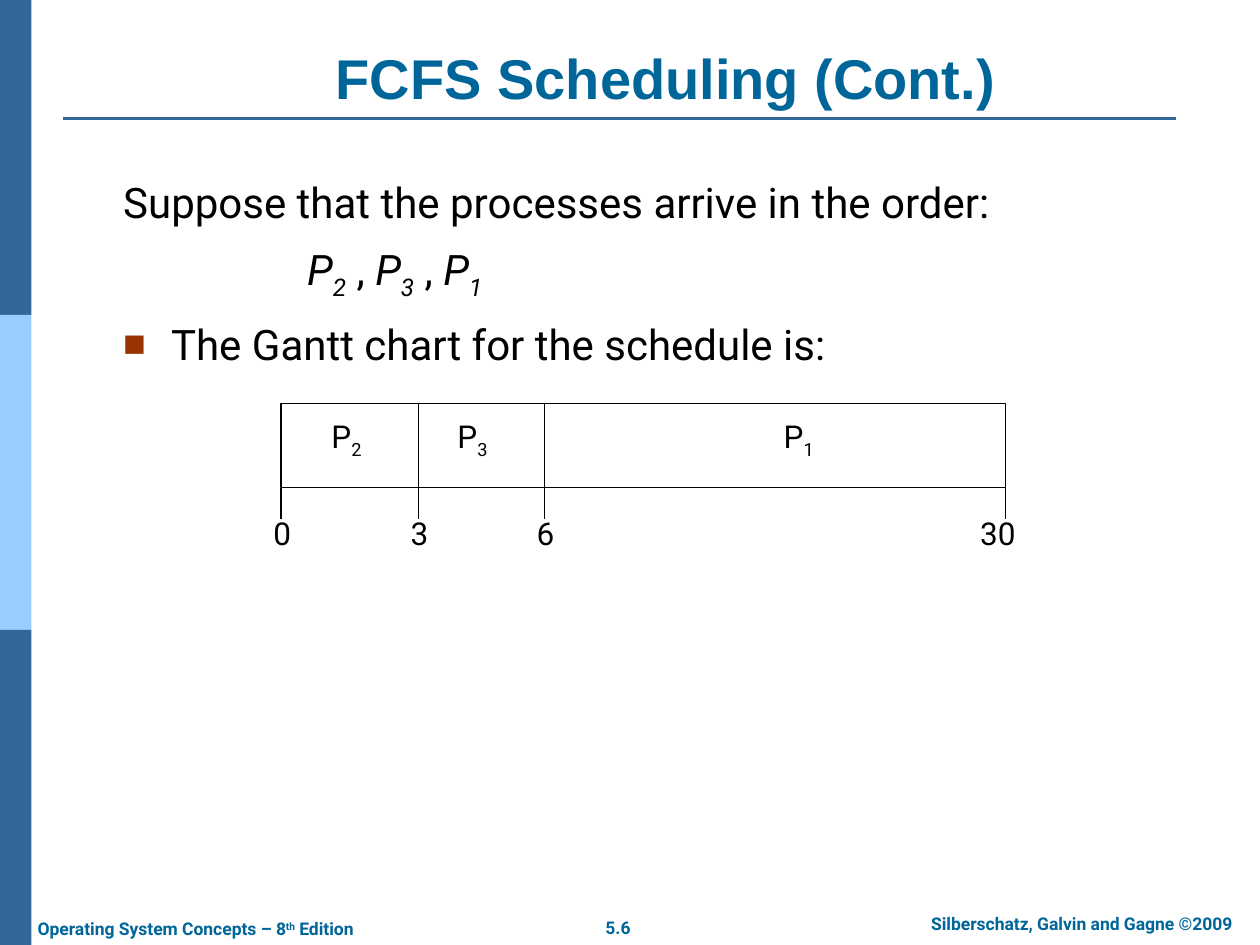
import dataclasses

import pptx
import pptx.dml.color
import pptx.enum.shapes
import pptx.enum.text
import pptx.oxml.xmlchemy
import pptx.util

Inches = pptx.util.Inches
Pt = pptx.util.Pt
Align = pptx.enum.text.PP_ALIGN
Anchor = pptx.enum.text.MSO_ANCHOR
Fit = pptx.enum.text.MSO_AUTO_SIZE


@dataclasses.dataclass(frozen=True)
class Theme:
    title_font: str = "Arial"
    body_font: str = "Roboto"
    heading: str = "006699"
    band: str = "336699"
    band_light: str = "99CCFF"
    bullet: str = "993300"
    ink: str = "000000"
    paper: str = "FFFFFF"
    title_size: int = 32
    body_size: int = 24
    chart_size: int = 18
    footer_size: int = 10


THEME = Theme()
SUBSCRIPT = -25
SUPERSCRIPT = 30


def rgb(code):
    return pptx.dml.color.RGBColor.from_string(code)


def element(tag, **attributes):
    """Make an XML element with the given attributes."""
    made = pptx.oxml.xmlchemy.OxmlElement(tag)
    for name, value in attributes.items():
        made.set(name, value)
    return made


def process(number, italic=False):
    """Spans for a process name with its subscript."""
    return [("P", {"italic": italic}),
            (number, {"italic": italic, "baseline": SUBSCRIPT})]


def add_text(para, spans, *, size, color=THEME.ink, font=THEME.body_font,
             bold=False, align=Align.LEFT):
    """Write a string, or (text, format) spans, into a paragraph."""
    para.alignment = align
    if isinstance(spans, str):
        spans = [(spans, {})]
    for text, look in spans:
        span = para.add_run()
        span.text = text
        span.font.name = font
        span.font.size = Pt(size)
        span.font.bold = bold
        span.font.italic = look.get("italic", False)
        span.font.color.rgb = rgb(color)
        if "baseline" in look:
            span.font._element.set("baseline", str(look["baseline"] * 1000))


def add_label(shapes, box, spans, *, wrap=False, anchor=Anchor.MIDDLE, **look):
    label = shapes.add_textbox(*map(Inches, box))
    frame = label.text_frame
    frame.word_wrap = wrap
    frame.auto_size = Fit.SHAPE_TO_FIT_TEXT
    frame.vertical_anchor = anchor
    add_text(frame.paragraphs[0], spans, **look)


def add_rectangle(shapes, box, fill, line=None):
    rectangle = shapes.add_shape(
        pptx.enum.shapes.MSO_SHAPE.RECTANGLE, *map(Inches, box))
    rectangle.shadow.inherit = False
    rectangle.fill.solid()
    rectangle.fill.fore_color.rgb = rgb(fill)
    if line:
        rectangle.line.color.rgb = rgb(line)
        rectangle.line.width = Pt(0.75)
    else:
        rectangle.line.fill.background()


def add_line(shapes, start, end, color=THEME.ink, width=0.75):
    line = shapes.add_connector(pptx.enum.shapes.MSO_CONNECTOR.STRAIGHT,
                                *map(Inches, (*start, *end)))
    line.line.color.rgb = rgb(color)
    line.line.width = Pt(width)
    line._element.spPr.append(element("a:effectLst"))


def add_bullet(para):
    """Give a paragraph a small coloured square bullet."""
    color = element("a:buClr")
    color.append(element("a:srgbClr", val=THEME.bullet))
    para._p.get_or_add_pPr().extend([
        color,
        element("a:buSzPct", val="90000"),
        element("a:buFont", typeface=THEME.title_font),
        element("a:buChar", char="■")])


def build_side_band(page, box):
    left, top, width, height = box
    part = height / 3
    for row, fill in enumerate((THEME.band, THEME.band_light, THEME.band)):
        add_rectangle(page.shapes, (left, top + row * part, width, part), fill)


def build_title(page, box):
    title = page.shapes.title
    title.left, title.top, title.width, title.height = map(Inches, box)
    frame = title.text_frame
    frame.word_wrap = True
    frame.auto_size = Fit.NONE
    frame.vertical_anchor = Anchor.BOTTOM
    add_text(frame.paragraphs[0], "FCFS Scheduling (Cont.)",
             size=THEME.title_size, color=THEME.heading,
             font=THEME.title_font, bold=True, align=Align.CENTER)
    add_line(page.shapes, (0.5, 0.94), (9.33, 0.94), THEME.band, 1.5)


def build_body(page, box):
    order = [*process("2", True), (" , ", {}), *process("3", True),
             (" , ", {}), *process("1", True)]
    # Spans, left margin, first-line indent, bullet
    lines = [("Suppose that the processes arrive in the order:", 0.38, -0.38, False),
             (order, 1.46, 0, False),
             ("The Gantt chart for the schedule is:", 0.38, -0.38, True)]
    frame = page.shapes.add_textbox(*map(Inches, box)).text_frame
    frame.word_wrap = True
    for row, (spans, margin, indent, bullet) in enumerate(lines):
        para = frame.add_paragraph() if row else frame.paragraphs[0]
        props = para._p.get_or_add_pPr()
        props.set("marL", str(Inches(margin)))
        props.set("indent", str(Inches(indent)))
        if row:
            para.space_before = Pt(9.8)
        if bullet:
            add_bullet(para)
        add_text(para, spans, size=THEME.body_size)


def build_gantt(page, box):
    left, top, width, height = box
    bottom = top + height
    shapes = page.shapes.add_group_shape().shapes
    look = {"size": THEME.chart_size, "align": Align.CENTER}
    add_rectangle(shapes, box, THEME.paper, THEME.ink)

    # Process names: number and centre, measured from the bar's left edge
    for number, center in (("2", 0.52), ("3", 1.52), ("1", 4.11)):
        add_label(shapes, (left + center - 0.23, top + 0.08, 0.46, 0.4),
                  process(number), **look)

    # Times: tick and label centre, measured from the bar's left edge
    times = (("0", 0, 0.01), ("3", 1.09, 1.1), ("6", 2.09, 2.1),
             ("30", width, width - 0.06))
    for time, offset, center in times:
        tick = left + offset
        if 0 < offset < width:
            add_line(shapes, (tick, top), (tick, bottom))
        add_line(shapes, (tick, bottom), (tick, bottom + 0.25))
        label_width = 0.2 + 0.14 * len(time)
        add_label(shapes, (left + center - label_width / 2, bottom + 0.16,
                           label_width, 0.4), time, **look)


def build_footer(page, box):
    left, top, width, height = box
    edition = [("Operating System Concepts – 8", {}),
               ("th", {"baseline": SUPERSCRIPT}), (" Edition", {})]
    # Spans, left offset, top offset, width, wrap, alignment
    notes = [("5.6", 4.46, 0.03, 0.49, False, Align.CENTER),
             ("Silberschatz, Galvin and Gagne ©2009", 6.9, 0, 2.97, True, Align.CENTER),
             (edition, 0, 0.04, 2.88, False, Align.LEFT)]
    for spans, across, down, note_width, wrap, align in notes:
        add_label(page.shapes, (left + across, top + down, note_width, height),
                  spans, wrap=wrap, anchor=Anchor.TOP, align=align, bold=True,
                  size=THEME.footer_size, color=THEME.heading)


def main():
    deck = pptx.Presentation()
    deck.slide_width, deck.slide_height = Inches(10), Inches(7.5)
    page = deck.slides.add_slide(deck.slide_layouts[5])
    page.background.fill.solid()
    page.background.fill.fore_color.rgb = rgb(THEME.paper)
    build_side_band(page, (0, 0, 0.25, 7.5))
    build_footer(page, (0.2, 7.2, 9.87, 0.27))
    build_title(page, (1.07, 0.3, 8.43, 0.63))
    build_body(page, (0.88, 1.35, 9, 4.95))
    build_gantt(page, (2.23, 3.2, 5.75, 0.67))
    deck.save("out.pptx")


if __name__ == "__main__":
    main()
